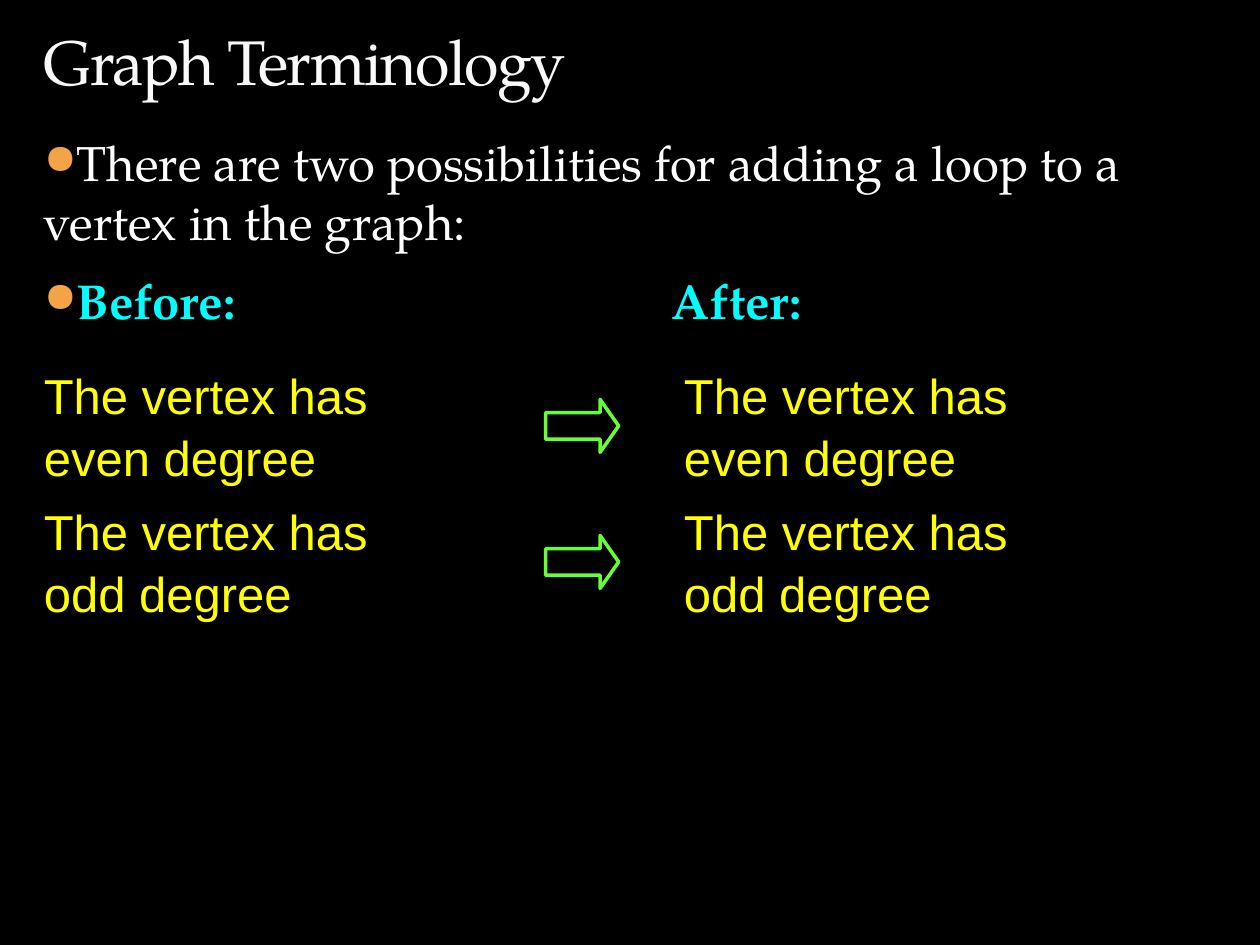
from lxml.etree import SubElement
from pptx import Presentation
from pptx.dml.color import RGBColor
from pptx.enum.shapes import MSO_SHAPE
from pptx.enum.text import MSO_ANCHOR
from pptx.oxml.ns import qn
from pptx.util import Inches, Pt

SERIF = "TeX Gyre Pagella"
LEFT = 0.25
RIGHT = 5.33
ROW_TOP = 2.83
ROW_HEIGHT = 1.08


def color(value):
    return RGBColor.from_string(value)


def set_values(target, values):
    for name, value in values.items():
        setattr(target, name, value)


def style_runs(paragraph, font_name, size, font_color, bold=False):
    for run in paragraph.runs:
        set_values(run.font, {"name": font_name, "size": Pt(size), "bold": bold})
        run.font.color.rgb = color(font_color)


def add_text_box(slide, left, top, width, height, anchor=MSO_ANCHOR.TOP):
    shape = slide.shapes.add_textbox(
        Inches(left), Inches(top), Inches(width), Inches(height)
    )
    set_values(shape.text_frame, {"word_wrap": True, "vertical_anchor": anchor})
    return shape.text_frame


def add_bullet(paragraph):
    properties = paragraph._p.get_or_add_pPr()
    set_values_xml = {"marL": "0", "indent": "0"}
    for name, value in set_values_xml.items():
        properties.set(name, value)
    bullet_color = SubElement(properties, qn("a:buClr"))
    SubElement(bullet_color, qn("a:srgbClr"), val="F3A447")
    SubElement(properties, qn("a:buSzPct"), val="85000")
    SubElement(properties, qn("a:buChar"), char="●")


def add_tab_stop(paragraph, position):
    tabs = SubElement(paragraph._p.get_or_add_pPr(), qn("a:tabLst"))
    SubElement(tabs, qn("a:tab"), pos=str(Inches(position)), algn="l")


def add_title(slide, text):
    frame = add_text_box(slide, LEFT, 0, 9.42, 0.83, MSO_ANCHOR.BOTTOM)
    paragraph = frame.paragraphs[0]
    paragraph.text = text
    style_runs(paragraph, SERIF, 36, "F9F9F9")
    paragraph.runs[0]._r.get_or_add_rPr().set("spc", "-100")


def add_introduction(slide):
    frame = add_text_box(slide, LEFT, 1, 9.58, 1.75)
    statement = frame.paragraphs[0]
    statement.text = "There are two possibilities for adding a loop to a vertex in the graph:"
    headings = frame.add_paragraph()
    headings.text = "Before:\tAfter:"
    for paragraph in (statement, headings):
        add_bullet(paragraph)
        paragraph.space_after = Pt(5.6)
    add_tab_stop(headings, 4.98)
    headings.space_before = Pt(6)
    style_runs(statement, SERIF, 28, "FFFFFF")
    style_runs(headings, SERIF, 28, "00FFFF", bold=True)


def add_case(slide, left, top, text):
    paragraph = add_text_box(slide, left, top, 4.67, ROW_HEIGHT).paragraphs[0]
    paragraph.text = text
    paragraph.line_spacing = 1.05
    style_runs(paragraph, "Arial", 28, "FFFF00")


def add_arrow(slide, top):
    shape = slide.shapes.add_shape(
        MSO_SHAPE.RIGHT_ARROW, Inches(4.33), Inches(top), Inches(0.58), Inches(0.42)
    )
    shape.adjustments[1] = 0.35
    shape.shadow.inherit = False
    shape.fill.background()
    shape.line.color.rgb = color("66FF33")
    shape.line.width = Pt(2)


def main():
    presentation = Presentation()
    set_values(presentation, {"slide_width": Inches(10), "slide_height": Inches(7.5)})
    slide = presentation.slides.add_slide(presentation.slide_layouts[6])
    slide.background.fill.solid()
    slide.background.fill.fore_color.rgb = color("000000")
    add_introduction(slide)
    add_title(slide, "Graph Terminology")
    for row, parity in enumerate(("even", "odd")):
        top = ROW_TOP + row * ROW_HEIGHT
        for left in (LEFT, RIGHT):
            add_case(slide, left, top, f"The vertex has\v{parity} degree")
        add_arrow(slide, top + 0.34)
    presentation.save("out.pptx")


if __name__ == "__main__":
    main()
